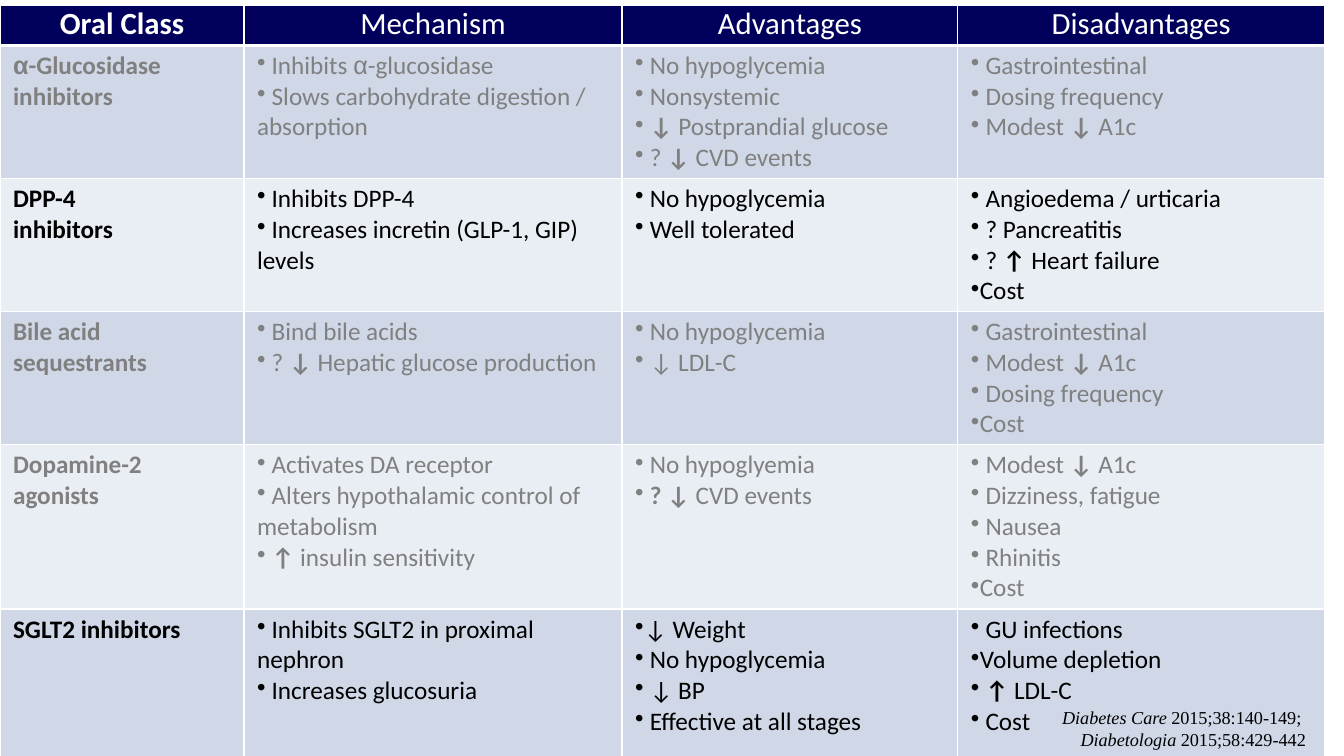
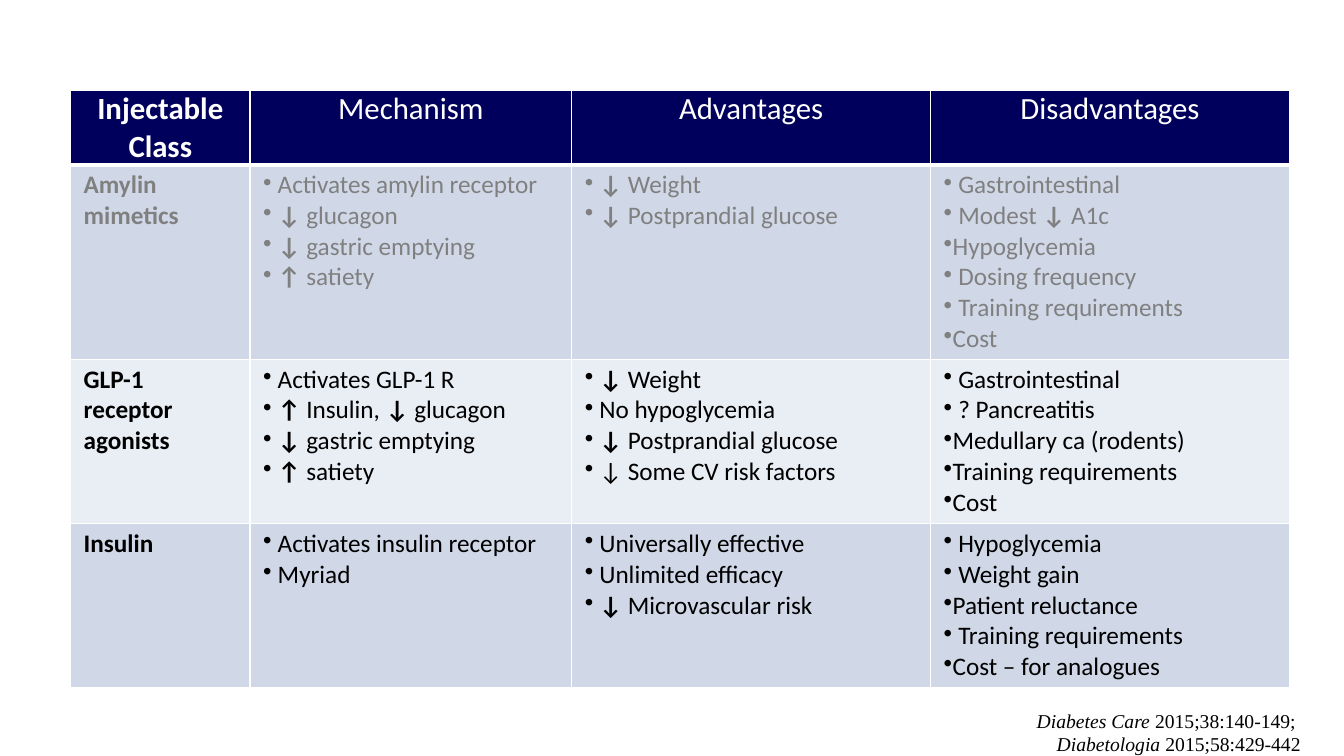
"""Build two slides comparing oral and injectable glucose-lowering drug classes."""
from itertools import groupby
from typing import NamedTuple

from lxml.etree import SubElement
from pptx import Presentation
from pptx.dml.color import RGBColor
from pptx.enum.text import PP_ALIGN
from pptx.oxml.ns import qn
from pptx.util import Inches, Pt

WHITE, BLACK, GREY = "FFFFFF", "000000", "808080"
NAVY, BANDS = "00005C", ("D0D8E8", "E9EDF4")
COST = "Cost"
NO_LOWS = " No hypoglycemia"
GASTRIC = " Gastrointestinal"
DOSING = " Dosing frequency"
MODEST = " Modest *↓ *A1c"
EMPTYING = " *↓ *gastric emptying"
SATIETY = " *↑ *satiety"
WEIGHT = " *↓ *Weight"
POSTPRANDIAL = " *↓* Postprandial glucose"
CITATION = ("*Diabetes Care* 2015;38:140-149; ", "*Diabetologia *2015;58:429-442")


class TextStyle(NamedTuple):
    """Size, colour, font and the attribute that asterisks switch on."""
    size: float
    color: str
    font: str = "Calibri"
    accent: str = "bold"
    align: PP_ALIGN = PP_ALIGN.LEFT
    bullet: str = ""


class DrugClass(NamedTuple):
    """One body row: class name and its three bullet lists."""
    name: tuple[str, ...]
    mechanism: tuple[str, ...]
    advantages: tuple[str, ...]
    disadvantages: tuple[str, ...]
    color: str = BLACK


class DrugSlide(NamedTuple):
    """One slide: table geometry, its rows and the citation box."""
    title: tuple[str, ...]
    left: float
    top: float
    widths: tuple[float, ...]
    heights: tuple[float, ...]
    classes: tuple[DrugClass, ...]
    citation_box: tuple[float, float, float, float]
    citation_size: float


ORAL = DrugSlide(
    ("*Oral Class*",), 0, 0.05,
    (2.42, 3.75, 3.33, 3.64), (0.4, 1.32, 1.32, 1.32, 1.63, 1.51),
    (
        DrugClass(("*α-Glucosidase inhibitors*",),
                  (" Inhibits α-glucosidase", " Slows carbohydrate digestion / absorption"),
                  (NO_LOWS, " Nonsystemic", POSTPRANDIAL, " ? *↓ *CVD events"),
                  (GASTRIC, DOSING, MODEST), GREY),
        DrugClass(("*DPP-4*", "*inhibitors*"),
                  (" Inhibits DPP-4", " Increases incretin (GLP-1, GIP) levels"),
                  (NO_LOWS, " Well tolerated"),
                  (" Angioedema / urticaria", " ? Pancreatitis", " ? *↑ *Heart failure", COST)),
        DrugClass(("*Bile acid sequestrants*",),
                  (" Bind bile acids", " ? *↓ *Hepatic glucose production"),
                  (NO_LOWS, " ↓ LDL-C"),
                  (GASTRIC, MODEST, DOSING, COST), GREY),
        DrugClass(("*Dopamine-2*", "*agonists*"),
                  (" Activates DA receptor", " Alters hypothalamic control of metabolism",
                   " *↑ *insulin sensitivity"),
                  (" No hypoglyemia", "* ? ↓ *CVD events"),
                  (MODEST, " Dizziness, fatigue", " Nausea", " Rhinitis", COST), GREY),
        DrugClass(("*SGLT2 inhibitors*",),
                  (" Inhibits SGLT2 in proximal nephron", " Increases glucosuria"),
                  ("↓ Weight", NO_LOWS, " ↓ BP", " Effective at all stages"),
                  (" GU infections", "Volume depletion", " *↑ *LDL-C", " Cost")),
    ),
    (6.78, 6.96, 6.27, 0.54), 13)

INJECTABLE = DrugSlide(
    ("*Injectable*", "*Class*"), 0.7, 0.9,
    (1.78, 3.19, 3.56, 3.56), (0.73, 1.93, 1.63, 1.63),
    (
        DrugClass(("*Amylin mimetics*",),
                  (" Activates amylin receptor", " *↓ *glucagon", EMPTYING, SATIETY),
                  (WEIGHT, POSTPRANDIAL),
                  (GASTRIC, MODEST, "Hypoglycemia", DOSING, " Training requirements", COST),
                  GREY),
        DrugClass(("*GLP-1 receptor agonists*",),
                  (" Activates GLP-1 R", " *↑ *Insulin, *↓ *glucagon", EMPTYING, SATIETY),
                  (WEIGHT, NO_LOWS, POSTPRANDIAL, " ↓ Some CV risk factors"),
                  (GASTRIC, " ? Pancreatitis", "Medullary ca (rodents)",
                   "Training requirements", COST)),
        DrugClass(("*Insulin*",),
                  (" Activates insulin receptor", " Myriad"),
                  (" Universally effective", " Unlimited efficacy", " *↓ *Microvascular risk"),
                  (" Hypoglycemia", " Weight gain", "Patient reluctance",
                   " Training requirements", "Cost – for analogues")),
    ),
    (8.71, 6.98, 4.29, 0.57), 14)


def rgb(color: str) -> RGBColor:
    """Turn a hex string into a colour."""
    return RGBColor.from_string(color)


def write(frame, lines: tuple[str, ...], style: TextStyle) -> None:
    """Write one paragraph per line, with accented spans between asterisks."""
    for index, line in enumerate(lines):
        para = frame.add_paragraph() if index else frame.paragraphs[0]
        para.alignment = style.align
        if style.bullet:
            SubElement(para._p.get_or_add_pPr(), qn("a:buChar"), char=style.bullet)
        for part, text in enumerate(line.split("*")):
            for is_greek, letters in groupby(text, lambda letter: letter == "α"):
                span = para.add_run()
                span.text = "".join(letters)
                span.font.color.rgb = rgb(style.color)
                formats = {"size": Pt(style.size), "name": "Arial" if is_greek else style.font,
                           "bold": False, "italic": False, style.accent: part % 2 == 1}
                for name, value in formats.items():
                    setattr(span.font, name, value)


def format_cell(cell, fill: str, side: float, end: float, top_line: float,
                bottom_line: float) -> None:
    """Set margins, white borders and fill of a cell."""
    margins = {"margin_left": side, "margin_right": side, "margin_top": end, "margin_bottom": end}
    for name, value in margins.items():
        setattr(cell, name, Inches(value))
    properties = cell._tc.get_or_add_tcPr()
    for edge, width in {"lnL": 1, "lnR": 1, "lnT": top_line, "lnB": bottom_line}.items():
        line = SubElement(properties, qn(f"a:{edge}"), w=str(Pt(width)))
        SubElement(SubElement(line, qn("a:solidFill")), qn("a:srgbClr"), val=WHITE)
    cell.fill.solid()
    cell.fill.fore_color.rgb = rgb(fill)


def add_drug_table(page, content: DrugSlide) -> None:
    """Draw the header row and one banded row per drug class."""
    table = page.shapes.add_table(
        len(content.heights), len(content.widths), Inches(content.left), Inches(content.top),
        Inches(sum(content.widths)), Inches(sum(content.heights))).table
    table.first_row = table.horz_banding = False
    for column, width in zip(table.columns, content.widths):
        column.width = Inches(width)
    for row, height in zip(table.rows, content.heights):
        row.height = Inches(height)

    headings = (content.title, ("Mechanism",), ("Advantages",), ("Disadvantages",))
    heading_style = TextStyle(22, WHITE, align=PP_ALIGN.CENTER)
    for cell, lines in zip(table.rows[0].cells, headings):
        format_cell(cell, NAVY, 0, 0, 1, 3)
        write(cell.text_frame, lines, heading_style)

    for index, drug in enumerate(content.classes):
        lists = (drug.name, drug.mechanism, drug.advantages, drug.disadvantages)
        for column, lines in enumerate(lists):
            cell = table.cell(index + 1, column)
            format_cell(cell, BANDS[index % 2], 0.13, 0.05, 1 if index else 3, 1)
            write(cell.text_frame, lines, TextStyle(18, drug.color, bullet="•" if column else ""))


def add_citation(page, content: DrugSlide) -> None:
    """Draw the right-aligned journal references."""
    box = page.shapes.add_textbox(*map(Inches, content.citation_box))
    box.text_frame.word_wrap = True
    write(box.text_frame, CITATION,
          TextStyle(content.citation_size, BLACK, "Times New Roman", "italic", PP_ALIGN.RIGHT))


def main() -> None:
    """Build and save the deck."""
    deck = Presentation()
    deck.slide_width, deck.slide_height = Inches(13.33), Inches(7.5)
    for content in (ORAL, INJECTABLE):
        page = deck.slides.add_slide(deck.slide_layouts[6])
        add_drug_table(page, content)
        add_citation(page, content)
    deck.save("out.pptx")


if __name__ == "__main__":
    main()
